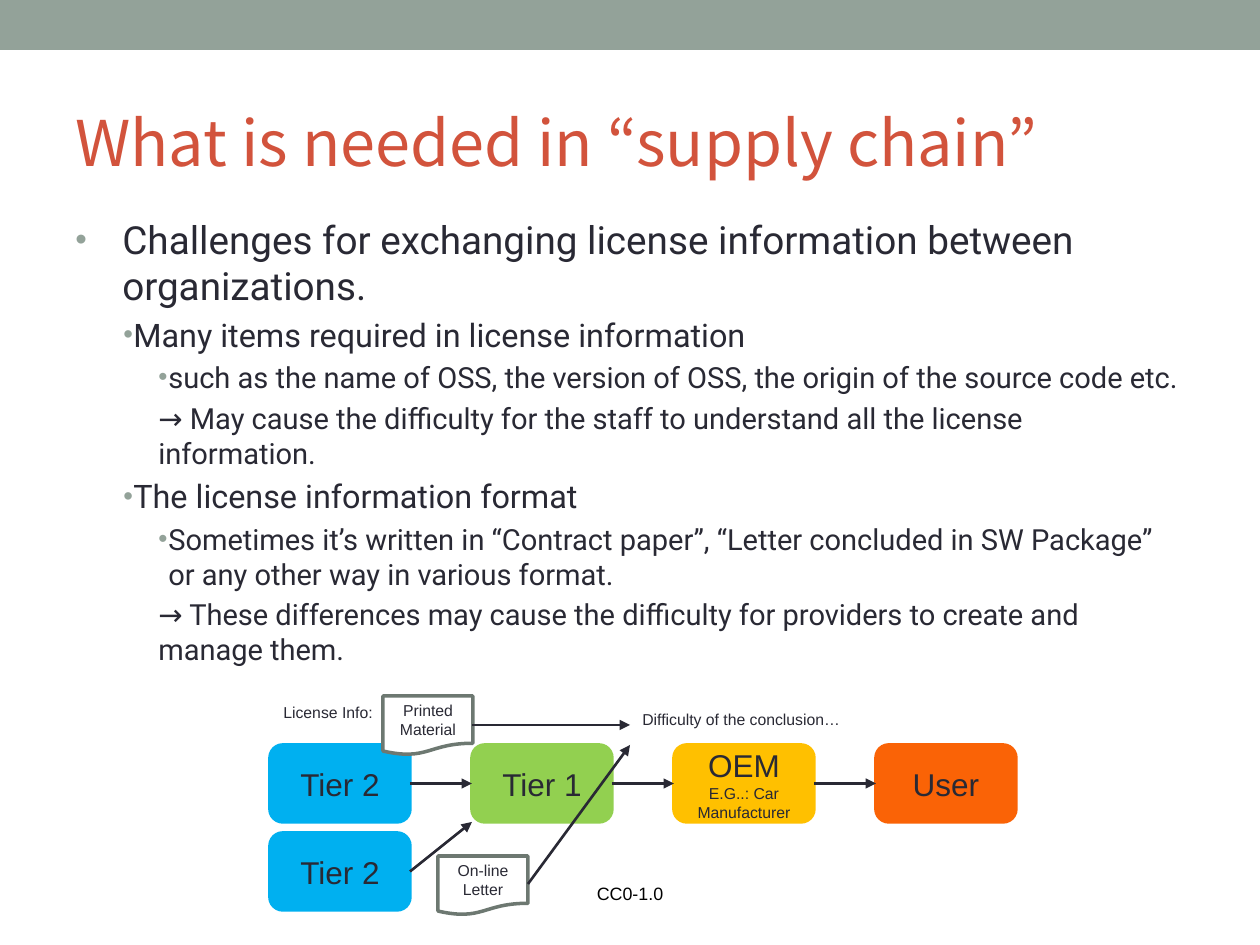
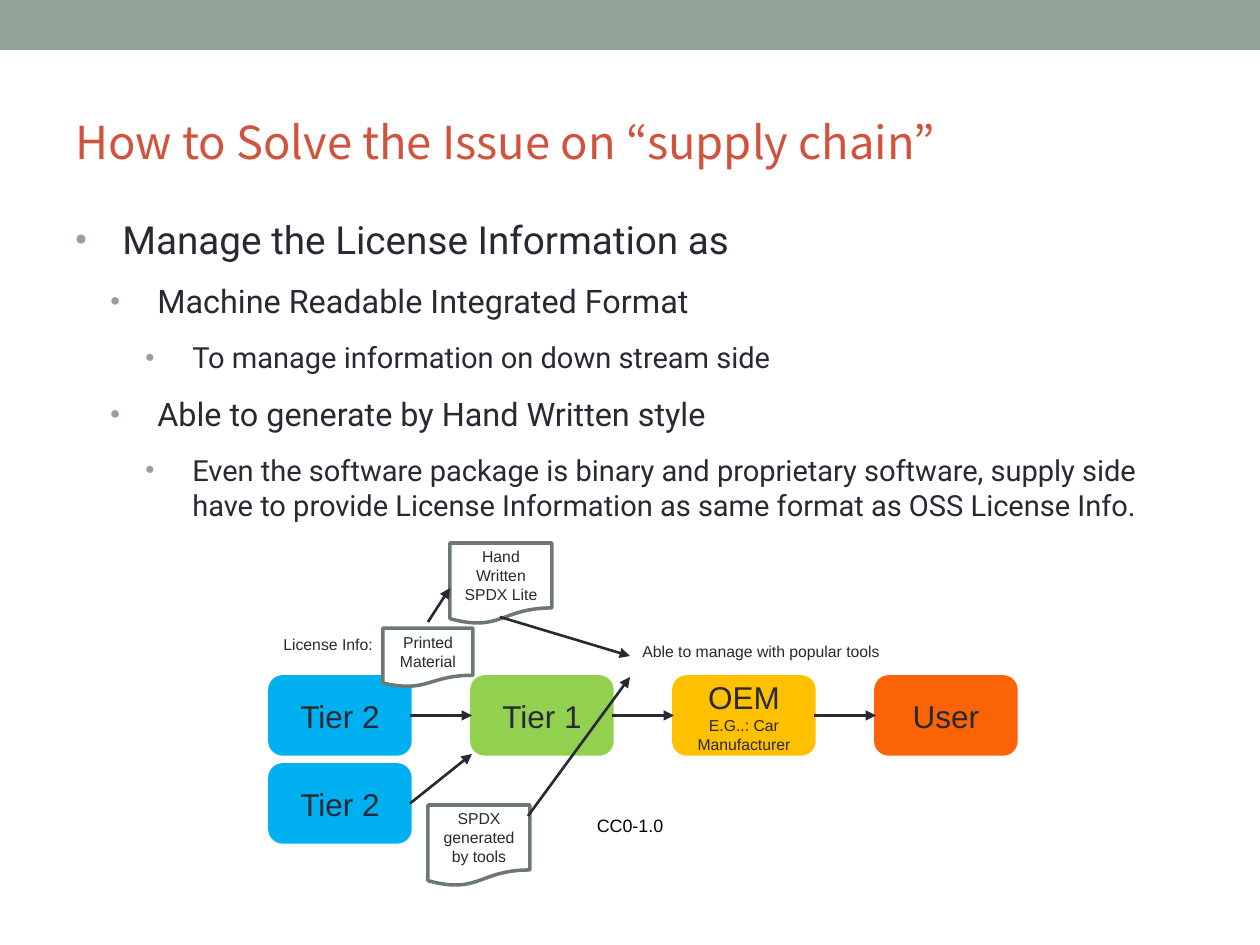
import pptx
import pptx.util
import pptx.dml.color
import pptx.enum.shapes
import pptx.enum.text
import pptx.oxml
import pptx.oxml.ns
from lxml import etree

INK, SAGE, RED, GREY = "292934", "93A299", "D2533C", "6D7871"
BLUE, GREEN, GOLD, FLAME = "00B0F0", "92D050", "FFC000", "FA6306"
SANS, BODY, HEAD = "Arial", "Roboto", "Noto Sans CJK JP"

STYLES = {
    "top": dict(level=0, size=22.1, left=47, hang=47, gap=11.1, dot=85),
    "tight": dict(level=1, size=18.5, left=58, hang=10, gap=3.7, dot=85),
    "deep": dict(level=2, size=16.6, left=93, hang=10, gap=3.3, dot=90),
    "plain": dict(level=2, size=16.6, left=83, hang=0, gap=3.3, dot=0),
    "wide": dict(level=1, size=18.5, left=82, hang=47, gap=11.1, dot=85),
    "broad": dict(level=2, size=16.6, left=117, hang=47, gap=11.1, dot=90),
}

TIERS = [
    (0, 0, BLUE, ["Tier 2"]),
    (2, 0, GOLD, ["OEM", "E.G..: Car Manufacturer"]),
    (1, 0, GREEN, ["Tier 1"]),
    (3, 0, FLAME, ["User"]),
    (0, 1, BLUE, ["Tier 2"]),
]
LEFT, STEP, DROP, WIDE, HIGH = 270, 202, 88, 140, 77

SLIDES = [
    dict(
        title="What is needed in “supply chain”", size=36, top=745,
        body=[
            ("top", "Challenges for exchanging license information between organizations."),
            ("tight", "Many items required in license information"),
            ("deep", "such as the name of OSS, the version of OSS, the origin of the source code etc."),
            ("plain", "→ May cause the difficulty for the staff to understand all the license information."),
            ("tight", "The license information format"),
            ("deep", "Sometimes it’s written in “Contract paper”, “Letter concluded in SW Package” or any other way in various format."),
            ("plain", "→ These differences may cause the difficulty for providers to create and manage them."),
        ],
        note=("Difficulty of the conclusion…", 226),
        links=[(472, -20, 630, -20), (528, 139, 630, 0)],
        docs=[("On-line Letter", 438, 111, 90, 59)],
    ),
    dict(
        title="How to Solve the Issue on “supply chain”", size=25.9, top=677,
        body=[
            ("top", "Manage the License Information as"),
            ("wide", "Machine Readable Integrated Format"),
            ("broad", "To manage information on down stream side"),
            ("wide", "Able to generate by Hand Written style"),
            ("broad", "Even the software package is binary and proprietary software, supply side have to provide License Information as same format as OSS License Info."),
        ],
        note=("Able to manage with popular tools", 265),
        links=[(500, -60, 630, -21), (528, 139, 630, 0), (428, -55, 450, -89)],
        docs=[("Hand Written SPDX Lite", 450, -134, 102, 81),
              ("SPDX generated by tools", 428, 128, 102, 81)],
    ),
]

KINDS = pptx.enum.shapes.MSO_SHAPE
ALIGN = pptx.enum.text.PP_ALIGN
ANCHOR = pptx.enum.text.MSO_ANCHOR


def px(count):
    return pptx.util.Emu(round(count * 914400 / 126))


def tint(code):
    return pptx.dml.color.RGBColor.from_string(code)


def style(para, size, face=SANS, code=INK, align=None):
    para.alignment = align
    for run in para.runs:
        run.font.size = pptx.util.Pt(size)
        run.font.name = face
        run.font.color.rgb = tint(code)


def block(slide, kind, place, fill, edge=None):
    shape = slide.shapes.add_shape(kind, *map(px, place))
    shape.shadow.inherit = False
    shape.fill.solid()
    shape.fill.fore_color.rgb = tint(fill)
    if edge:
        shape.line.color.rgb = tint(edge)
        shape.line.width = pptx.util.Pt(2)
    else:
        shape.line.fill.background()
    return shape


def label(shape, lines, sizes):
    frame = shape.text_frame
    frame.word_wrap = True
    frame.vertical_anchor = ANCHOR.MIDDLE
    frame.text = "\n".join(lines)
    for para, size in zip(frame.paragraphs, sizes):
        style(para, size, align=ALIGN.CENTER)


def text(slide, place, words, size, face=SANS, code=INK, align=None, wrap=False):
    frame = slide.shapes.add_textbox(*map(px, place)).text_frame
    frame.word_wrap = wrap
    frame.text = words
    style(frame.paragraphs[0], size, face, code, align)
    return frame


def pad(frame):
    frame.margin_top = frame.margin_bottom = pptx.util.Inches(0.1)


def link(slide, ends):
    line = slide.shapes.add_connector(
        pptx.enum.shapes.MSO_CONNECTOR.STRAIGHT, *map(px, ends))
    line.line.color.rgb = tint(INK)
    line.line.width = pptx.util.Pt(1.5)
    etree.SubElement(line.line._get_or_add_ln(),
                     pptx.oxml.ns.qn("a:tailEnd"), type="triangle")
    etree.SubElement(line._element.spPr, pptx.oxml.ns.qn("a:effectLst"))


def bullet(para, left, hang, dot):
    props = para._p.get_or_add_pPr()
    props.set("marL", str(px(left)))
    props.set("indent", str(px(-hang)))
    space = pptx.oxml.ns.nsdecls("a")
    marks = [f'<a:buNone {space}/>']
    if dot:
        marks = [
            f'<a:buClr {space}><a:srgbClr val="{SAGE}"/></a:buClr>',
            f'<a:buSzPct {space} val="{dot * 1000}"/>',
            f'<a:buFont {space} typeface="{SANS}"/>',
            f'<a:buChar {space} char="•"/>',
        ]
    for mark in marks:
        props.append(pptx.oxml.parse_xml(mark))


def prose(slide, items):
    frame = slide.shapes.add_textbox(*map(px, (63, 203, 1134, 200))).text_frame
    frame.word_wrap = True
    pad(frame)
    frame.text = "\n".join(words for _, words in items)
    for spot, (para, (name, _)) in enumerate(zip(frame.paragraphs, items)):
        look = STYLES[name]
        para.level = look["level"]
        bullet(para, look["left"], look["hang"], look["dot"])
        para.space_before = pptx.util.Pt(look["gap"] if spot else 0)
        style(para, look["size"], BODY)


def paper(slide, top, words, left, drop, wide, high):
    shape = block(slide, KINDS.FLOWCHART_DOCUMENT,
                  (left, top + drop, wide, high), "FFFFFF", GREY)
    label(shape, [words], [9])


def chain(slide, top, data):
    for col, row, fill, lines in TIERS:
        place = (LEFT + col * STEP, top + row * DROP, WIDE, HIGH)
        label(block(slide, KINDS.ROUNDED_RECTANGLE, place, fill, fill), lines, (18, 9))
    mid = top + HIGH / 2
    for col in range(3):
        start = LEFT + col * STEP + WIDE
        link(slide, (start, mid, LEFT + (col + 1) * STEP, mid))
    link(slide, (LEFT + WIDE, mid + DROP, LEFT + STEP, top + HIGH))
    paper(slide, top, "Printed Material", 383, -49, 90, 59)
    for doc in data["docs"]:
        paper(slide, top, *doc)
    for x1, y1, x2, y2 in data["links"]:
        link(slide, (x1, top + y1, x2, top + y2))
    text(slide, (271, top - 48, 116, 32), "License Info:", 9)
    words, wide = data["note"]
    text(slide, (630, top - 41, wide, 32), words, 9)


def build(deck, data):
    slide = deck.slides.add_slide(deck.slide_layouts[6])
    block(slide, KINDS.RECTANGLE, (0, 0, 1260, 50), SAGE)
    title = text(slide, (63, 73, 1134, 136), data["title"], data["size"],
                 HEAD, RED, wrap=True)
    title.vertical_anchor = ANCHOR.MIDDLE
    pad(title)
    prose(slide, data["body"])
    top = data["top"]
    text(slide, (582, top + 131, 96, 34), "CC0-1.0", 10.2, code="000000",
         align=ALIGN.CENTER, wrap=True)
    chain(slide, top, data)


def main():
    deck = pptx.Presentation()
    deck.slide_width, deck.slide_height = px(1260), px(945)
    for data in SLIDES:
        build(deck, data)
    deck.save("out.pptx")


if __name__ == "__main__":
    main()
